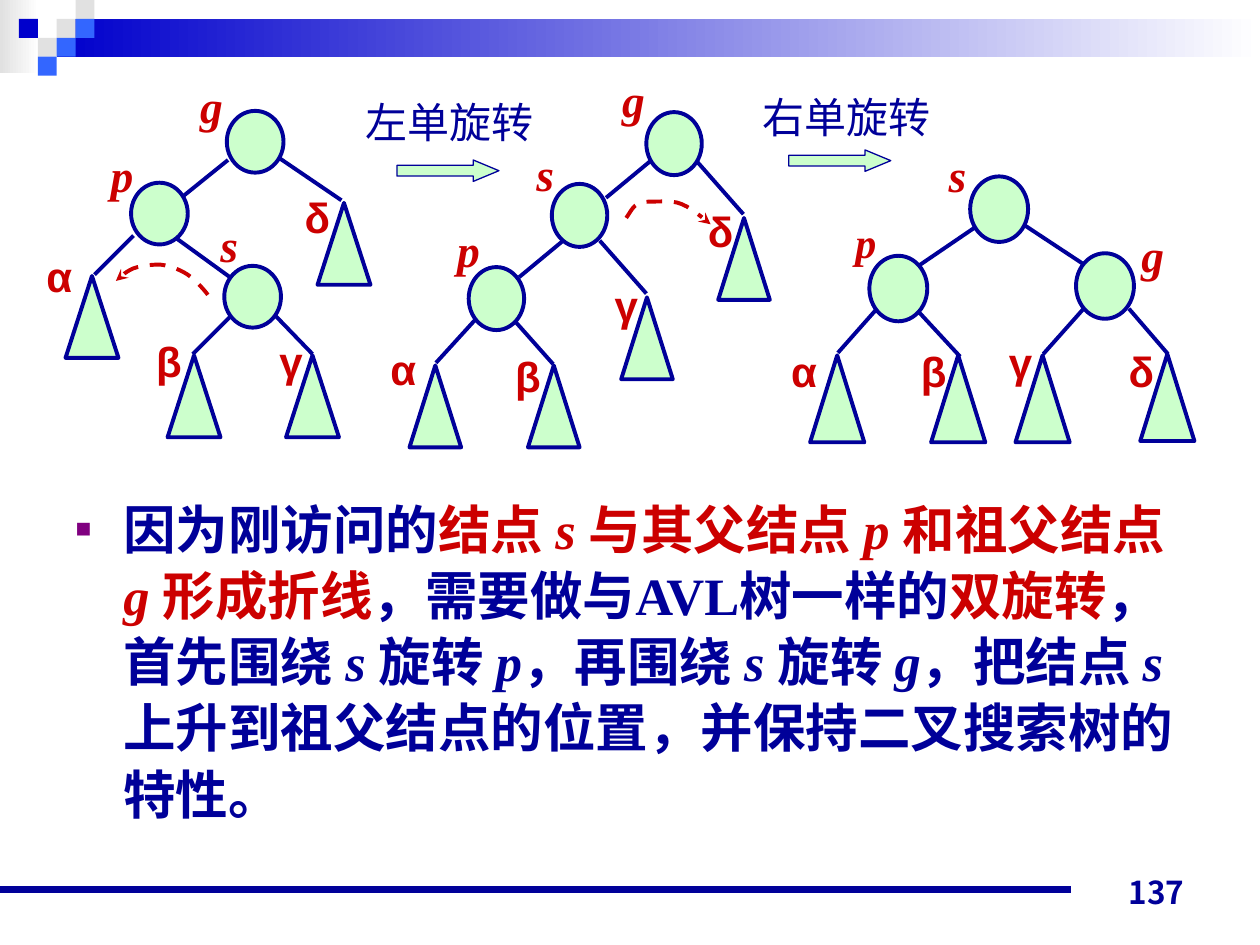
from lxml import etree
from pptx import Presentation
from pptx.dml.color import RGBColor
from pptx.enum.dml import MSO_LINE
from pptx.enum.shapes import MSO_CONNECTOR, MSO_SHAPE
from pptx.enum.text import MSO_ANCHOR, PP_ALIGN
from pptx.oxml.ns import qn
from pptx.util import Inches, Pt

COLORS = {"navy": "000099", "red": "CC0000", "mint": "CCFFCC", "purple": "800080",
          "gray": "E1E1E1", "blue": "0000CC", "sky": "3366FF", "white": "FFFFFF"}
SERIF, SANS, CJK = "Times New Roman", "Arial", "Noto Sans CJK JP"
TILE = 0.15
TILES = [(3, 1, "gray"), (4, 0, "gray"), (4, 1, "sky"), (2, 2, "gray"),
         (1, 1, "blue"), (3, 2, "sky"), (2, 3, "sky")]

# Each node and leaf: name, left, top, label left, label top.
TREES = [
    {"node_size": (0.45, 0.49), "leaf_size": (0.42, 0.65),
     "nodes": [("p", 1.04, 1.45, 0.78, 1.12), ("g", 1.8, 0.88, 1.49, 0.57),
               ("s", 1.78, 2.11, 1.65, 1.67)],
     "leaves": [("α", 0.52, 2.19, 0.27, 1.94), ("β", 1.33, 2.82, 1.14, 2.61),
                ("γ", 2.27, 2.82, 2.12, 2.61), ("δ", 2.52, 1.61, 2.32, 1.47)],
     "edges": [(1.37, 1.87, 1.88, 2.24), (1.83, 2.51, 1.53, 2.81), (2.19, 2.51, 2.48, 2.81),
               (1.81, 1.27, 1.45, 1.56), (1.06, 1.87, 0.75, 2.18), (2.21, 1.25, 2.71, 1.59)]},
    {"node_size": (0.44, 0.5), "leaf_size": (0.41, 0.65),
     "nodes": [("s", 4.38, 1.46, 4.16, 1.11), ("g", 5.13, 0.89, 4.84, 0.52),
               ("p", 3.72, 2.12, 3.53, 1.71)],
     "leaves": [("α", 3.25, 2.9, 3, 2.68), ("β", 4.19, 2.9, 3.99, 2.73),
                ("γ", 4.93, 2.36, 4.78, 2.17), ("δ", 5.7, 1.73, 5.52, 1.58)],
     "edges": [(3.77, 2.54, 3.46, 2.88), (4.07, 2.53, 4.39, 2.89), (5.16, 1.28, 4.81, 1.57),
               (4.76, 1.91, 5.13, 2.33), (4.47, 1.91, 4.12, 2.2), (5.53, 1.28, 5.9, 1.7)]},
    {"node_size": (0.46, 0.52), "leaf_size": (0.43, 0.69),
     "nodes": [("p", 6.9, 2.03, 6.69, 1.67, 24), ("g", 8.54, 2.01, 8.96, 1.75),
               ("s", 7.7, 1.4, 7.43, 1.12)],
     "leaves": [("α", 6.43, 2.82, 6.18, 2.69), ("β", 7.39, 2.82, 7.21, 2.69),
                ("γ", 8.06, 2.82, 7.91, 2.62), ("δ", 9.05, 2.81, 8.86, 2.69)],
     "edges": [(8.6, 2.45, 8.28, 2.81), (7.24, 2.42, 7.62, 2.83), (8.96, 2.45, 9.27, 2.81),
               (8.12, 1.78, 8.62, 2.11), (7.76, 1.79, 7.29, 2.11), (6.96, 2.45, 6.65, 2.8)]},
]
LEFT_SWING = [(0.92, 2.23), (0.96, 2.19), (1.01, 2.15), (1.06, 2.13), (1.12, 2.11),
              (1.2, 2.1), (1.27, 2.1), (1.35, 2.11), (1.43, 2.14), (1.49, 2.18),
              (1.55, 2.22), (1.63, 2.31), (1.65, 2.34)]
RIGHT_SWING = [(4.97, 1.73), (5, 1.69), (5.02, 1.64), (5.06, 1.62), (5.1, 1.6),
               (5.14, 1.6), (5.2, 1.6), (5.26, 1.6), (5.34, 1.59), (5.41, 1.62),
               (5.49, 1.65), (5.6, 1.75), (5.64, 1.78)]
EXPLANATION = [
    ("因为刚访问的", "navy"), ("结点 ", "red"), ("s ", "red"), ("与其父结点 ", "red"),
    ("p ", "red"), ("和祖父结点", "red"), ("g ", "red"), ("形成折线", "red"),
    ("，需要做与AVL树一样的", "navy"), ("双旋转", "red"), ("，首先围绕 ", "navy"),
    ("s ", "navy"), ("旋转 ", "navy"), ("p", "navy"), ("，再围绕 ", "navy"), ("s ", "navy"),
    ("旋转 ", "navy"), ("g", "navy"), ("，把结点 ", "navy"), ("s", "navy"),
    ("上升到祖父结点的位置，并保持二叉搜索树的特性。", "navy")]


def rgb(name):
    return RGBColor.from_string(COLORS[name])


def bezier(a, b, c, d, t):
    u = 1 - t
    return tuple(u**3 * p + 3 * u * u * t * q + 3 * u * t * t * r + t**3 * s
                 for p, q, r, s in zip(a, b, c, d))


class SlideBuilder:
    def __init__(self, slide):
        self.slide = slide
        self.shapes = slide.shapes

    def style_run(self, run, size, color, font, bold=False, italic=False):
        run.font.size, run.font.name = Pt(size), font
        run.font.bold, run.font.italic = bold, italic
        run.font.color.rgb = rgb(color)
        etree.SubElement(run.font._element, qn("a:ea"), typeface=CJK)

    def shape(self, kind, x, y, w, h, fill, outline=None, width=2.25):
        item = self.shapes.add_shape(kind, Inches(x), Inches(y), Inches(w), Inches(h))
        item.shadow.inherit = False
        if isinstance(fill, tuple):
            item.fill.gradient()
            item.fill.gradient_angle = 0
            for stop, color, position in zip(item.fill.gradient_stops, fill, (0, 1)):
                stop.color.rgb, stop.position = rgb(color), position
        else:
            item.fill.solid()
            item.fill.fore_color.rgb = rgb(fill)
        if outline:
            item.line.color.rgb, item.line.width = rgb(outline), Pt(width)
        else:
            item.line.fill.background()
        return item

    def line(self, x1, y1, x2, y2, width=2.25):
        item = self.shapes.add_connector(
            MSO_CONNECTOR.STRAIGHT, Inches(x1), Inches(y1), Inches(x2), Inches(y2))
        item.line.color.rgb, item.line.width = rgb("navy"), Pt(width)
        etree.SubElement(item._element.spPr, qn("a:effectLst"))

    def text(self, words, x, y, w, h, size, color, font, bold=False, italic=False,
             align=PP_ALIGN.LEFT, anchor=MSO_ANCHOR.TOP, wrap=True):
        frame = self.shapes.add_textbox(Inches(x), Inches(y), Inches(w), Inches(h)).text_frame
        frame.text, frame.word_wrap, frame.vertical_anchor = words, wrap, anchor
        frame.paragraphs[0].alignment = align
        self.style_run(frame.paragraphs[0].runs[0], size, color, font, bold, italic)

    def tree(self, node_size, leaf_size, nodes, leaves, edges):
        self.shapes = self.slide.shapes.add_group_shape().shapes
        for edge in edges:
            self.line(*edge)
        for kind, dimensions, members in ((MSO_SHAPE.OVAL, node_size, nodes),
                                          (MSO_SHAPE.ISOSCELES_TRIANGLE, leaf_size, leaves)):
            for name, x, y, *_ in members:
                self.shape(kind, x, y, *dimensions, "mint", "navy")
        for name, _, _, x, y, *size in nodes:
            self.text(name, x, y, 0.7, 0.7, size[0] if size else 26, "red", SERIF, True, True)
        for name, _, _, x, y in leaves:
            self.text(name, x, y, 0.7, 0.7, 24, "red", SANS, True)
        self.shapes = self.slide.shapes

    def swing(self, controls, arrow_end):
        points = [controls[0]] + [bezier(*controls[i:i + 4], step / 6)
                                  for i in range(0, len(controls) - 1, 3)
                                  for step in range(1, 7)]
        start, *rest = [(Inches(x), Inches(y)) for x, y in points]
        builder = self.shapes.build_freeform(*start)
        builder.add_line_segments(rest, close=False)
        curve = builder.convert_to_shape()
        curve.shadow.inherit = False
        curve.fill.background()
        curve.line.color.rgb, curve.line.width = rgb("red"), Pt(2.25)
        curve.line.dash_style = MSO_LINE.DASH
        etree.SubElement(curve.line._get_or_add_ln(), qn(arrow_end), type="stealth")

    def rotation(self, words, text_x, text_y, arrow_x, arrow_y):
        arrow = self.shape(MSO_SHAPE.RIGHT_ARROW, arrow_x, arrow_y, 0.81, 0.17,
                           "mint", "navy", 0.75)
        arrow.adjustments[1] = 1.2
        self.text(words, text_x, text_y, 1.53, 0.5, 24, "navy", SANS, wrap=False)

    def body(self, pieces):
        self.slide.shapes.title.element.getparent().remove(self.slide.shapes.title.element)
        holder = self.slide.placeholders[1]
        holder.left, holder.top, holder.width, holder.height = map(Inches, (0.5, 3.87, 9, 2.99))
        paragraph = holder.text_frame.paragraphs[0]
        paragraph.line_spacing, paragraph.space_before = 1.05, Pt(0)
        properties = paragraph._p.get_or_add_pPr()
        properties.set("marL", str(Inches(0.38)))
        properties.set("indent", str(-Inches(0.38)))
        bullet_color = etree.SubElement(properties, qn("a:buClr"))
        etree.SubElement(bullet_color, qn("a:srgbClr"), val=COLORS["purple"])
        etree.SubElement(properties, qn("a:buSzPct"), val="50000")
        etree.SubElement(properties, qn("a:buFont"), typeface=SANS)
        etree.SubElement(properties, qn("a:buChar"), char="■")
        for words, color in pieces:
            run = paragraph.add_run()
            run.text = words
            self.style_run(run, 30, color, SERIF, True, words.strip() in ("s", "p", "g"))

    def decoration(self):
        self.shape(MSO_SHAPE.RECTANGLE, 0, 0, 0.31, 0.58, ("gray", "white"))
        self.shape(MSO_SHAPE.RECTANGLE, 0.45, 0.15, 9.55, 0.3, ("blue", "white"))
        for column, row, color in TILES:
            self.shape(MSO_SHAPE.RECTANGLE, column * TILE, row * TILE, TILE, TILE, color)
        self.line(0, 7.06, 8.5, 7.06, 4.5)
        self.text("137", 7.17, 6.78, 2.33, 0.5, 18, "navy", CJK, True,
                  align=PP_ALIGN.RIGHT, anchor=MSO_ANCHOR.BOTTOM)


def main():
    deck = Presentation()
    deck.slide_width, deck.slide_height = Inches(10), Inches(7.5)
    builder = SlideBuilder(deck.slides.add_slide(deck.slide_layouts[1]))
    builder.decoration()
    builder.body(EXPLANATION)
    for tree in TREES:
        builder.tree(**tree)
    builder.swing(LEFT_SWING, "a:headEnd")
    builder.swing(RIGHT_SWING, "a:tailEnd")
    builder.rotation("左单旋转", 2.8, 0.72, 3.15, 1.27)
    builder.rotation("右单旋转", 5.95, 0.68, 6.26, 1.19)
    deck.save("out.pptx")


if __name__ == "__main__":
    main()
